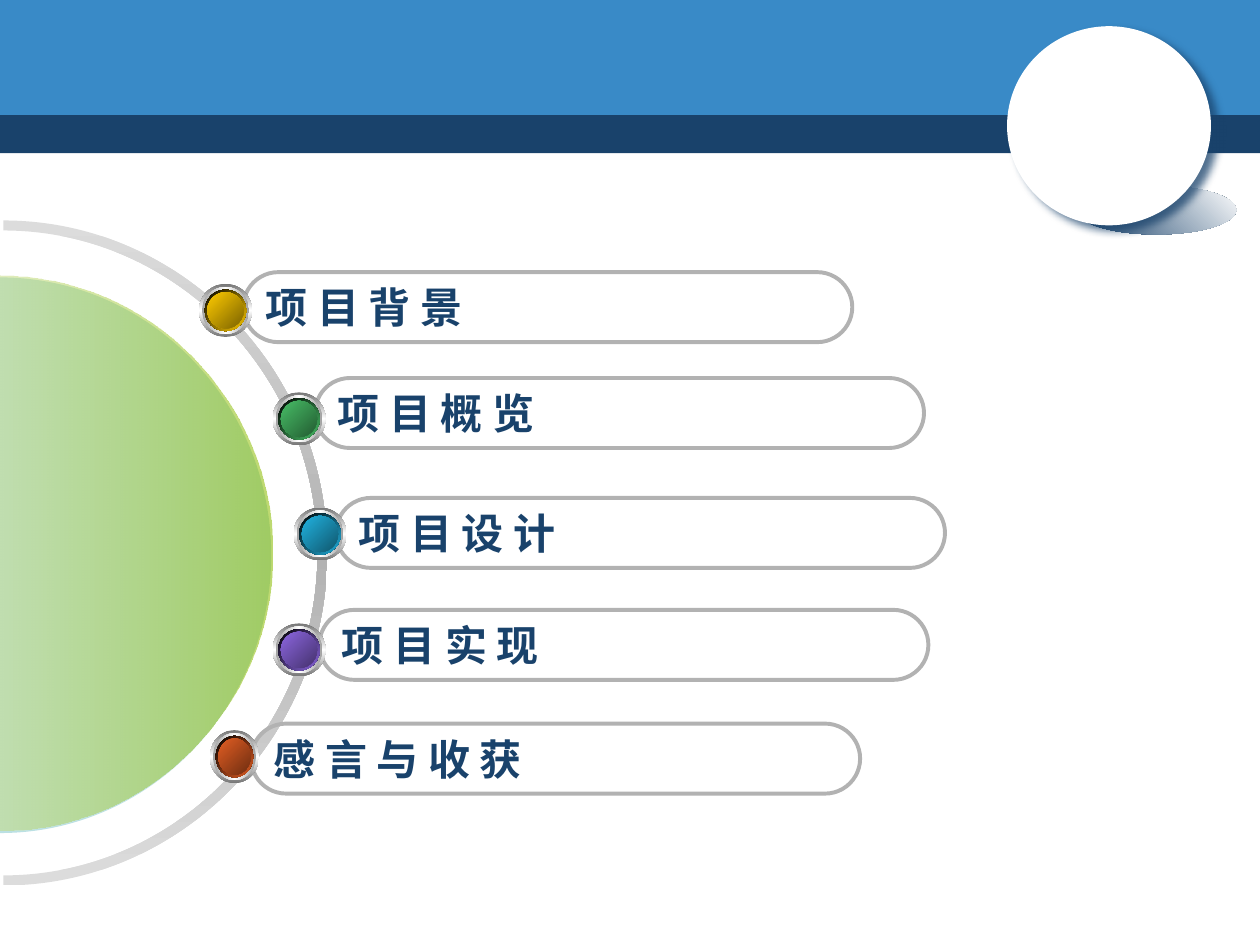
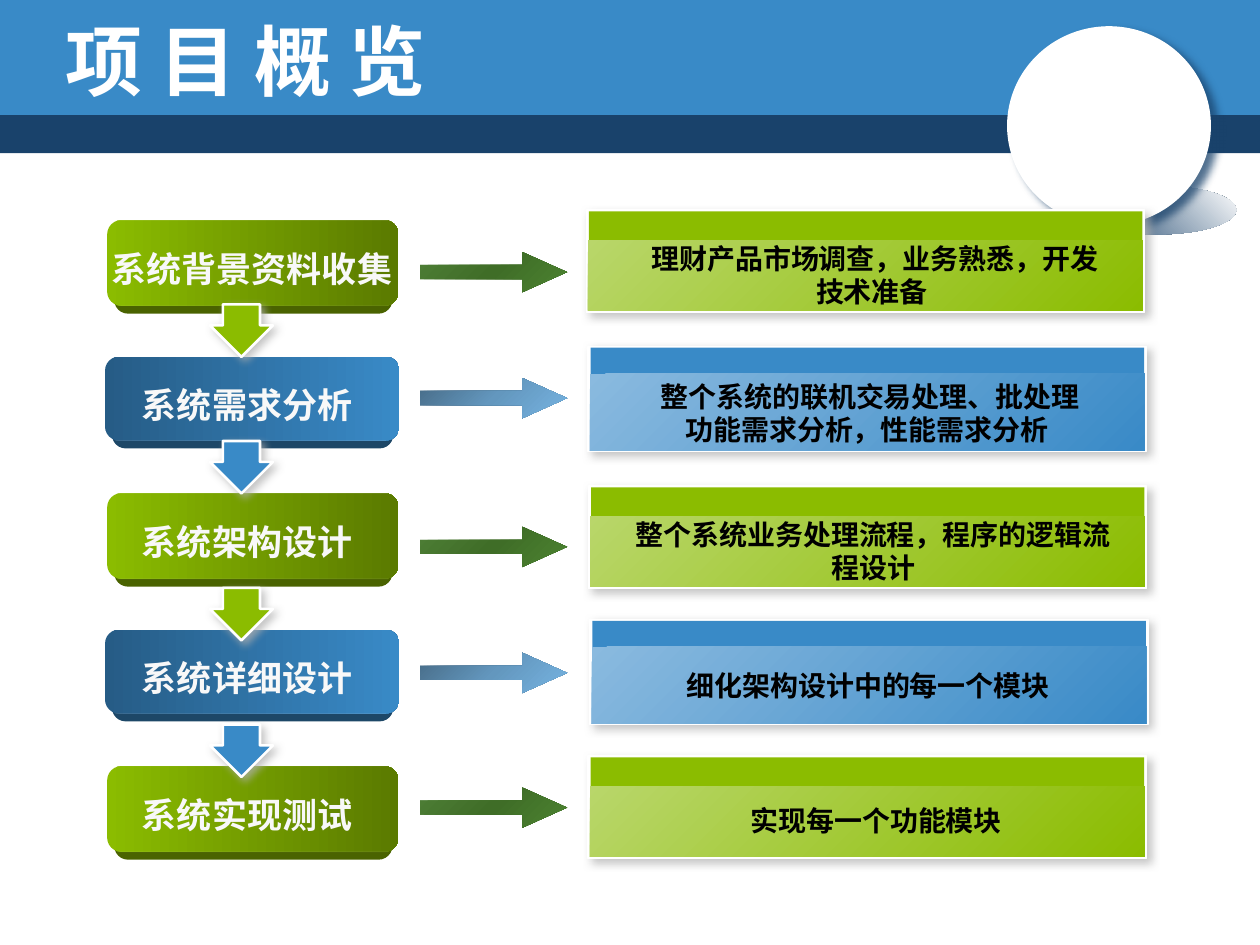
import lxml.etree
import pptx
import pptx.dml.color
import pptx.enum.shapes
import pptx.enum.text
import pptx.oxml.ns
import pptx.util

Pt = pptx.util.Pt
SHAPE = pptx.enum.shapes.MSO_SHAPE
ALIGN = pptx.enum.text.PP_ALIGN
ANCHOR = pptx.enum.text.MSO_ANCHOR
qn = pptx.oxml.ns.qn

CJK = "Noto Sans CJK SC"
COLORS = {
    "navy": "19426B", "blue": "398AC7", "green": "8BBC00", "white": "FFFFFF",
    "black": "000000", "gray": "B2B2B2", "silver": "DCDCDC", "label": "F8F8F8",
    "steel": "767676", "chrome": "A2A2A2", "ice": "BBE0E3", "lime": "C5DD80",
}
SOFT_SHADOW = (COLORS["gray"], 75, 5, 3, 45)

THEMES = {
    "green": {
        "main": COLORS["green"], "lip": "4A6300", "down": COLORS["green"],
        "card": (COLORS["green"], "5A7A00"), "body": "B9D66A",
        "arrow": ("4E7E36", "3F6D27", "4C8331"),
        "card_box": (61.25, 166.5, 49), "panel": (58.5, 27, 17.25, 40.25),
    },
    "blue": {
        "main": COLORS["blue"], "lip": "1D4767", "down": COLORS["blue"],
        "card": ("265C86", COLORS["blue"]), "body": "8ABADF",
        "arrow": ("466A85", "6397BE", "76B3E1"),
        "card_box": (60, 168.25, 48), "panel": (60, 28, 15.5, 44),
    },
}

AGENDA = [
    ("项 目 背 景", (139, 155.5), (113.75, 162.25, 30.25), ("FFCC00", "7C6300")),
    ("项 目 概 览", (180, 216), (155.75, 224.25, 30.25), ("48BE67", "235C32")),
    ("项 目 设 计", (192, 284.5), (167.75, 290, 30.25), ("21B3E1", "10576D")),
    ("项 目 实 现", (182.5, 348.5), (155.75, 356.25, 30.25), ("8D67E1", "45326D")),
    ("感 言 与 收 获", (143.5, 413.5), (120, 417.25, 28), ("E35E23", "6E2E11")),
]

STEPS = [
    ("系统背景资料收集", " 理财产品市场调查，业务熟悉，开发技术准备",
     144, (335, 120), (498.25, 157, 288)),
    ("系统需求分析", " 整个系统的联机交易处理、批处理功能需求分析，性能需求分析",
     216, (336, 198), (495.5, 236, 271)),
    ("系统架构设计", "整个系统业务处理流程，程序的逻辑流程设计",
     301, (336.25, 277.75), (499, 315, 288)),
    ("系统详细设计", "细化架构设计中的每一个模块",
     373, (337, 354), (496.25, 391.5, 271)),
    ("系统实现测试", " 实现每一个功能模块",
     450, (336, 432), (499, 469, 288)),
]
DOWN_ARROW_TOPS = (174, 252, 336, 414)


def rgb(value):
    return pptx.dml.color.RGBColor.from_string(value)


def set_gradient(sp, colors, angle, alphas=None):
    sp.fill.solid()
    spPr = sp.element.spPr
    grad = lxml.etree.Element(qn("a:gradFill"), rotWithShape="1")
    stops = lxml.etree.SubElement(grad, qn("a:gsLst"))
    for i, color in enumerate(colors):
        pos = round(100000 * i / (len(colors) - 1))
        stop = lxml.etree.SubElement(stops, qn("a:gs"), pos=str(pos))
        clr = lxml.etree.SubElement(stop, qn("a:srgbClr"), val=color)
        if alphas:
            lxml.etree.SubElement(clr, qn("a:alpha"), val=str(alphas[i] * 1000))
    lxml.etree.SubElement(grad, qn("a:lin"), ang=str(angle * 60000), scaled="0")
    spPr.replace(spPr.find(qn("a:solidFill")), grad)


def set_shadow(sp, color, alpha, blur, dist, angle):
    effects = sp.element.spPr.find(qn("a:effectLst"))
    shadow = lxml.etree.SubElement(
        effects, qn("a:outerShdw"), blurRad=str(Pt(blur)), dist=str(Pt(dist)),
        dir=str(angle * 60000), algn="ctr", rotWithShape="0")
    clr = lxml.etree.SubElement(shadow, qn("a:srgbClr"), val=color)
    lxml.etree.SubElement(clr, qn("a:alpha"), val=str(alpha * 1000))


def style(sp, fill=None, angle=0, line=None, width=1, shadow=None, alphas=None):
    sp.shadow.inherit = False
    if fill is None:
        sp.fill.background()
    elif isinstance(fill, str):
        sp.fill.solid()
        sp.fill.fore_color.rgb = rgb(fill)
    else:
        set_gradient(sp, fill, angle, alphas)
    if line:
        sp.line.color.rgb = rgb(line)
        sp.line.width = Pt(width)
    else:
        sp.line.fill.background()
    if shadow:
        set_shadow(sp, *shadow)
    return sp


def add_box(slide, kind, x, y, w, h, fill=None, adj=(), **look):
    sp = slide.shapes.add_shape(kind, Pt(x), Pt(y), Pt(w), Pt(h))
    for i, value in enumerate(adj):
        sp.adjustments[i] = value
    return style(sp, fill, **look)


def half_ellipse(cx, cy, rx, ry):
    kx, ky = 0.55 * rx, 0.55 * ry
    return [(cx, cy - ry), (cx + kx, cy - ry), (cx + rx, cy - ky), (cx + rx, cy),
            (cx + rx, cy + ky), (cx + kx, cy + ry), (cx, cy + ry)]


def add_curved_outline(slide, arcs, fill, **look):
    points = [(Pt(x), Pt(y)) for arc in arcs for x, y in arc]
    builder = slide.shapes.build_freeform(*points[0])
    builder.add_line_segments(points[1:], close=True)
    sp = builder.convert_to_shape()
    outline = sp.element.find(".//" + qn("a:path"))
    nodes = list(outline)
    for start in range(0, len(points), 7):
        for first in (start + 1, start + 4):
            curve = lxml.etree.Element(qn("a:cubicBezTo"))
            nodes[first].addprevious(curve)
            for node in nodes[first:first + 3]:
                curve.append(node[0])
                outline.remove(node)
    return style(sp, fill, **look)


def add_highlight(slide, x, y, w, alpha):
    ln = slide.shapes.add_connector(
        pptx.enum.shapes.MSO_CONNECTOR.STRAIGHT, Pt(x), Pt(y), Pt(x + w), Pt(y))
    ln.line.color.rgb = rgb(COLORS["white"])
    ln.line.width = Pt(0.25)
    clr = ln.element.spPr.find(".//" + qn("a:srgbClr"))
    lxml.etree.SubElement(clr, qn("a:alpha"), val=str(alpha * 1000))
    lxml.etree.SubElement(ln.element.spPr, qn("a:effectLst"))


def write(sp, text, size, color, font=CJK, align=ALIGN.LEFT, wrap=True, spacing=None):
    tf = sp.text_frame
    tf.auto_size = pptx.enum.text.MSO_AUTO_SIZE.NONE
    tf.word_wrap = wrap
    tf.vertical_anchor = ANCHOR.MIDDLE
    p = tf.paragraphs[0]
    p.alignment = align
    if spacing:
        p.line_spacing = Pt(spacing)
    r = p.add_run()
    r.text = text
    r.font.name = font
    r.font.size = Pt(size)
    r.font.bold = True
    r.font.color.rgb = rgb(color)
    lxml.etree.SubElement(r.font._element, qn("a:ea"), typeface=CJK)


def add_text(slide, cx, cy, w, h, text, size, color, **options):
    sp = slide.shapes.add_textbox(Pt(cx - w / 2), Pt(cy - h / 2), Pt(w), Pt(h))
    write(sp, text, size, color, align=ALIGN.CENTER, **options)


def add_header(slide, title=None):
    add_box(slide, SHAPE.RECTANGLE, 0, 62.75, 720, 24.75, COLORS["navy"])
    add_box(slide, SHAPE.RECTANGLE, 0, 0, 720, 65.75, COLORS["blue"])
    add_box(slide, SHAPE.OVAL, 615, 106, 91.5, 28,
            (COLORS["navy"], COLORS["white"]), angle=315)
    add_box(slide, SHAPE.OVAL, 575.5, 15, 116.5, 113.75, COLORS["white"],
            shadow=(COLORS["navy"], 75, 5, 5, 37))
    add_box(slide, SHAPE.OVAL, 614.25, 54.75, 41, 39, COLORS["white"])
    if title:
        sp = slide.shapes.title
        sp.element.getparent().append(sp.element)
        sp.left, sp.top, sp.width, sp.height = Pt(30), Pt(11.5), Pt(582), Pt(45)
        write(sp, title, 44, COLORS["white"])


def add_dial(slide):
    ring = [half_ellipse(2, 316, 185, 190), half_ellipse(2, 316, 179.5, 184.25)[::-1]]
    add_curved_outline(slide, ring, (COLORS["silver"], COLORS["gray"], COLORS["silver"]),
                       angle=90)
    add_curved_outline(slide, [half_ellipse(0, 317.25, 155, 158.75)], COLORS["ice"])


def add_dial_tint(slide):
    add_curved_outline(slide, [half_ellipse(0.5, 316, 155, 158.75)],
                       (COLORS["lime"], COLORS["green"]), alphas=(52, 56))


def add_knob(slide, x, y, w, colors):
    layers = [
        (0, (COLORS["steel"], COLORS["white"], COLORS["steel"]), 90),
        (1.75, (COLORS["chrome"], COLORS["white"], COLORS["chrome"]), 0),
        (3.25, (COLORS["black"], colors[0]), 45),
        (4.75, colors, 45),
    ]
    for inset, fill, angle in layers:
        add_box(slide, SHAPE.OVAL, x + inset, y + inset, w - 2 * inset,
                30.25 - 2 * inset, fill, angle=angle)


def add_agenda_slide(prs):
    slide = prs.slides.add_slide(prs.slide_layouts[6])
    add_header(slide)
    add_dial(slide)
    for text, (x, y), knob, colors in reversed(AGENDA):
        sp = add_box(slide, SHAPE.ROUNDED_RECTANGLE, x, y, 348, 40, adj=(0.5,),
                     line=COLORS["gray"], width=2.25)
        write(sp, text, 24, COLORS["navy"], font="Arial", wrap=False)
    for text, pill, knob, colors in AGENDA:
        add_knob(slide, *knob, colors)
    add_dial_tint(slide)


def add_card(slide, y, theme, text, cx):
    x, w, h = theme["card_box"]
    add_box(slide, SHAPE.ROUNDED_RECTANGLE, x + 4, y + 6, w - 7.5, h - 1.5,
            theme["lip"], adj=(0.167,))
    add_box(slide, SHAPE.ROUNDED_RECTANGLE, x, y, w, h, theme["card"], adj=(0.167,))
    add_highlight(slide, x + 6, y + h, 154.5, 15)
    add_highlight(slide, x + 6, y, 154.5, 25)
    add_text(slide, cx, y + 27.5, 188, 32, text, 20, COLORS["label"])


def add_panel(slide, x, y, theme):
    frame_h, band_h, body_dy, body_h = theme["panel"]
    add_box(slide, SHAPE.RECTANGLE, x, y, 319, frame_h, COLORS["white"],
            line=COLORS["white"], width=0.75, shadow=SOFT_SHADOW)
    add_box(slide, SHAPE.RECTANGLE, x + 1.5, y + 0.75, 316.25, band_h, theme["main"])
    add_box(slide, SHAPE.RECTANGLE, x + 1, y + body_dy, 317, body_h,
            (theme["body"], theme["main"]), angle=45)


def add_overview_slide(prs):
    slide = prs.slides.add_slide(prs.slide_layouts[5])
    add_header(slide, "项 目 概 览")
    themes = [THEMES["blue" if i % 2 else "green"] for i in range(len(STEPS))]
    for i, (step, detail, arrow_y, panel, (cx, cy, w)) in enumerate(STEPS):
        theme = themes[i]
        add_card(slide, 125.75 + 78 * i, theme, step, 141.25 if i else 144)
        add_panel(slide, *panel, theme)
        add_text(slide, cx, cy, w, 46, detail, 16, COLORS["black"], spacing=19)
        add_box(slide, SHAPE.RIGHT_ARROW, 240, arrow_y, 84, 23, theme["arrow"],
                angle=45, adj=(0.352, 1.11))
    for y, theme in zip(DOWN_ARROW_TOPS, themes):
        add_box(slide, SHAPE.DOWN_ARROW, 120, y, 36, 30, theme["down"],
                adj=(0.589, 0.6), line=COLORS["white"], width=1.5, shadow=SOFT_SHADOW)


def main():
    prs = pptx.Presentation()
    prs.slide_width, prs.slide_height = Pt(720), Pt(540)
    add_agenda_slide(prs)
    add_overview_slide(prs)
    prs.save("out.pptx")


if __name__ == "__main__":
    main()
